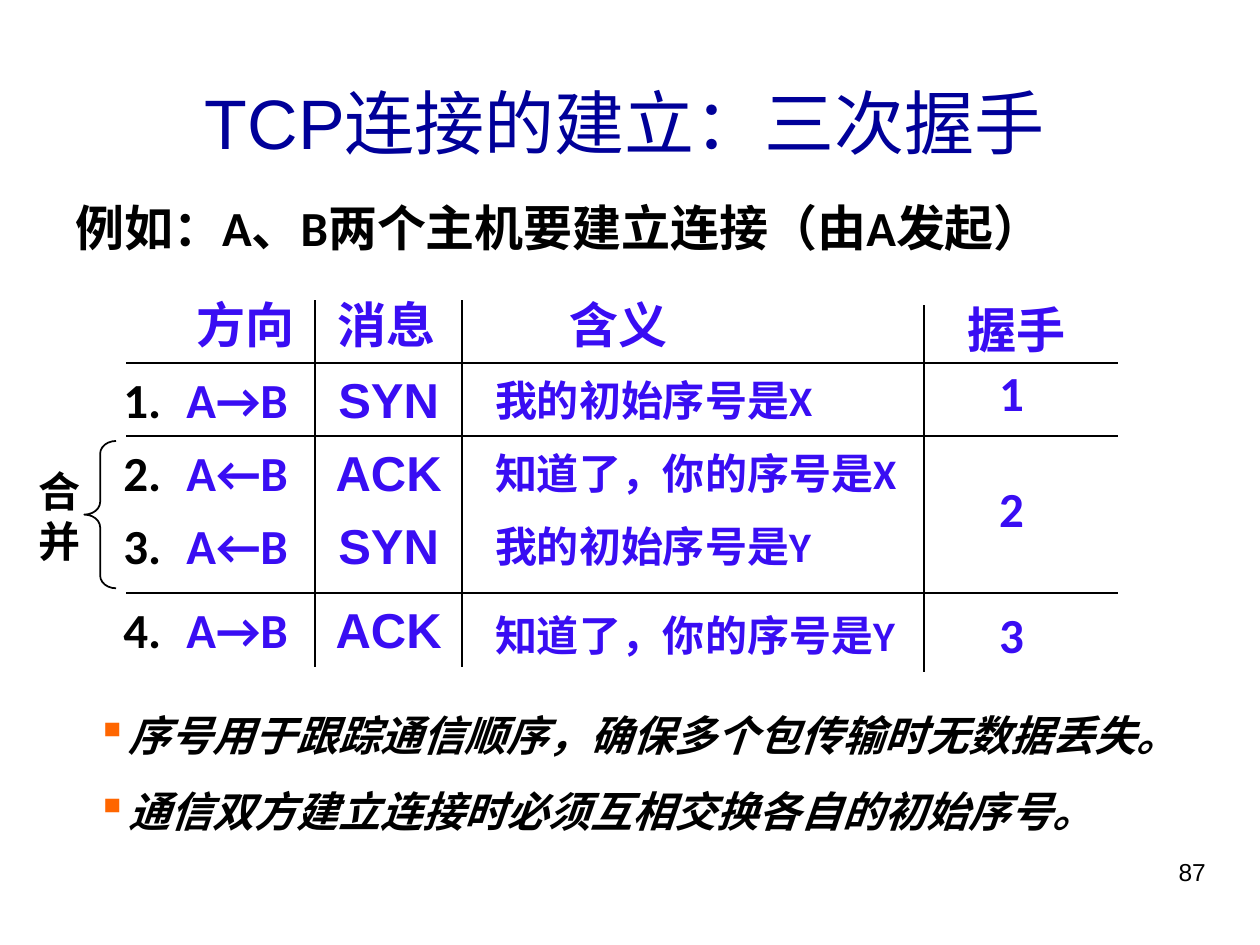
"""Build a slide on the TCP three-way handshake."""
from dataclasses import dataclass

from lxml.etree import SubElement
from pptx import Presentation
from pptx.dml.color import RGBColor
from pptx.enum.shapes import MSO_CONNECTOR, MSO_SHAPE
from pptx.enum.text import MSO_ANCHOR, MSO_AUTO_SIZE, PP_ALIGN as Align
from pptx.oxml.ns import qn
from pptx.util import Cm, Pt

BLACK, NAVY, VIOLET, ORANGE = "000000", "000099", "390DF3", "FF6600"


@dataclass
class Label:
    text: str
    x: float
    y: float
    w: float
    h: float = 1.45
    size: int = 28
    color: str = VIOLET
    font: str = "Calibri"
    bold: bool = True
    italic: bool = False
    align: Align = Align.LEFT


@dataclass
class Row:
    y: float
    meaning_y: float
    meaning_w: float
    direction: str
    message: str
    meaning: str


@dataclass
class Rule:
    x1: float
    y1: float
    x2: float
    y2: float


ROWS = [
    Row(7.32, 7.42, 8.69, "A→B", "SYN", "我的初始序号是X"),
    Row(8.79, 8.89, 9.32, "A←B", "ACK", "知道了，你的序号是X"),
    Row(10.26, 10.36, 8.69, "A←B", "SYN", "我的初始序号是Y"),
    Row(11.96, 12.17, 9.32, "A→B", "ACK", "知道了，你的序号是Y"),
]
HEADERS = [("方向", 3.71, 5.82), ("消息", 6.55, 5.82),
           ("含义", 11.23, 5.82), ("握手", 19.25, 5.92)]
HANDSHAKES = [("1", 7.19), ("2", 9.53), ("3", 12.07)]
RULES = [Rule(2.54, y, 22.53, y) for y in (7.32, 8.79, 11.96)] + [
    Rule(x, y, x, y + 7.39) for x, y in ((6.35, 6.05), (9.32, 6.05), (18.62, 6.15))]


def rgb(color: str) -> RGBColor:
    return RGBColor.from_string(color)


def fill_label(sp, label: Label) -> None:
    sp.left, sp.top, sp.width, sp.height = map(Cm, (label.x, label.y, label.w, label.h))
    tf = sp.text_frame
    tf.word_wrap = True
    tf.auto_size = MSO_AUTO_SIZE.NONE
    tf.vertical_anchor = MSO_ANCHOR.TOP
    tf.text = label.text
    for p in tf.paragraphs:
        p.alignment = label.align
        for r in p.runs:
            r.font.name, r.font.size = label.font, Pt(label.size)
            r.font.bold, r.font.italic = label.bold, label.italic
            r.font.color.rgb = rgb(label.color)


def add_label(s, label: Label):
    sp = s.shapes.add_textbox(0, 0, 0, 0)
    fill_label(sp, label)
    return sp


def add_rule(s, rule: Rule) -> None:
    ends = map(Cm, (rule.x1, rule.y1, rule.x2, rule.y2))
    cx = s.shapes.add_connector(MSO_CONNECTOR.STRAIGHT, *ends)
    cx.line.color.rgb = rgb(BLACK)
    cx.line.width = Pt(1)
    SubElement(cx.element.spPr, qn("a:effectLst"))


def add_bullet(p, char: str, color: str) -> None:
    pPr = p._p.get_or_add_pPr()
    pPr.set("marL", str(Cm(0.6)))
    pPr.set("indent", str(-Cm(0.6)))
    SubElement(SubElement(pPr, qn("a:buClr")), qn("a:srgbClr")).set("val", color)
    SubElement(pPr, qn("a:buChar")).set("char", char)


def add_table_labels(s) -> None:
    for text, x, y in HEADERS:
        add_label(s, Label(text, x, y, 2.54))
    for number, row in enumerate(ROWS, 1):
        add_label(s, Label(f"{number}.", 2.24, row.y, 1.47, color=BLACK))
        add_label(s, Label(row.direction, 3.51, row.y, 2.97))
        add_label(s, Label(row.message, 6.35, row.y, 2.97, font="Arial", align=Align.CENTER))
        add_label(s, Label(row.meaning, 9.73, row.meaning_y, row.meaning_w, 1.27, 24))
    for text, y in HANDSHAKES:
        add_label(s, Label(text, 19.89, y, 1.47))


def add_merge_mark(s) -> None:
    brace = s.shapes.add_shape(MSO_SHAPE.LEFT_BRACE, Cm(1.7), Cm(8.89), Cm(0.64), Cm(2.97))
    brace.adjustments[0] = 0.4
    brace.shadow.inherit = False
    brace.fill.background()
    brace.line.color.rgb = rgb(BLACK)
    brace.line.width = Pt(1)
    add_label(s, Label("合并", 0.53, 9.25, 1.47, 2.29, 24, BLACK))


def add_notes_list(s) -> None:
    text = "序号用于跟踪通信顺序，确保多个包传输时无数据丢失。\n通信双方建立连接时必须互相交换各自的初始序号。"
    sp = add_label(s, Label(text, 1.7, 14.17, 22.86, 2.82, 24, BLACK, italic=True))
    first, second = sp.text_frame.paragraphs
    second.space_before = Pt(15)
    for p in (first, second):
        add_bullet(p, "▪", ORANGE)


def main() -> None:
    prs = Presentation()
    prs.slide_width, prs.slide_height = Cm(25.4), Cm(19.05)
    s = prs.slides.add_slide(prs.slide_layouts[5])
    fill_label(s.shapes.title, Label("TCP连接的建立：三次握手", 2.11, 1.47, 20.96, 1.96, 40,
                                     NAVY, "Arial", False, align=Align.CENTER))
    add_label(s, Label("例如：A、B两个主机要建立连接（由A发起）", 1.27, 3.86, 22.02, color=BLACK))
    for rule in RULES:
        add_rule(s, rule)
    add_table_labels(s)
    add_merge_mark(s)
    add_notes_list(s)
    add_label(s, Label("87", 18.21, 17.15, 6.35, 1.32, 14, BLACK, "Arial", False,
                       align=Align.RIGHT))
    prs.save("out.pptx")


if __name__ == "__main__":
    main()
